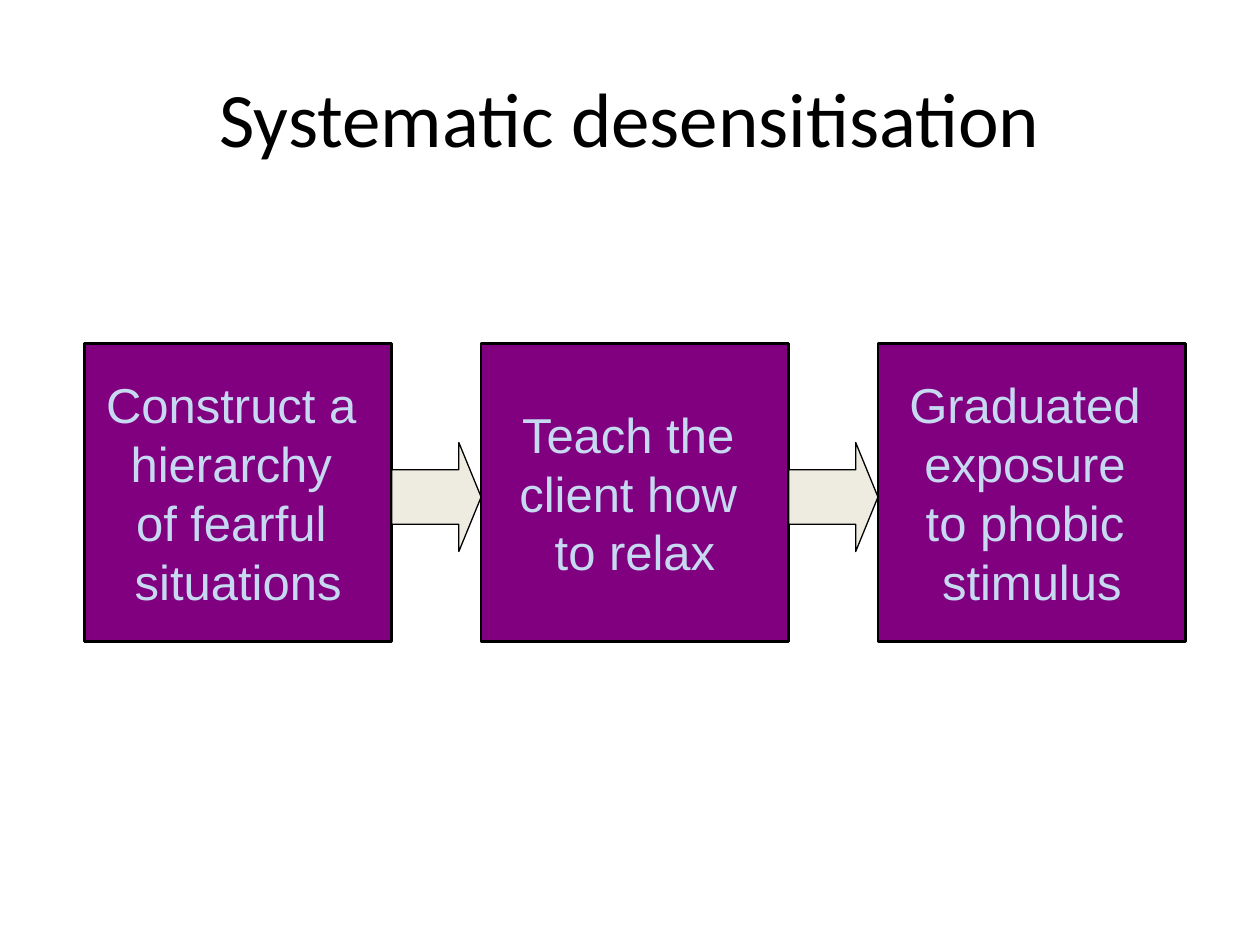
import dataclasses

import pptx
import pptx.dml.color
import pptx.enum.shapes
import pptx.enum.text
import pptx.util

Cm = pptx.util.Cm
Pt = pptx.util.Pt
SHAPES = pptx.enum.shapes.MSO_SHAPE
CENTER = pptx.enum.text.PP_ALIGN.CENTER
MIDDLE = pptx.enum.text.MSO_ANCHOR.MIDDLE

# Step boxes in a row, with an arrow filling each gap
ROW_LEFT, ROW_TOP = 1.7, 6.93
BOX_WIDTH, BOX_HEIGHT = 6.2, 6.0
ARROW_TOP, ARROW_WIDTH, ARROW_HEIGHT = 8.92, 1.8, 2.2


@dataclasses.dataclass
class Step:
    lines: list[str]


# The space closing a line is part of its centring
STEPS = [
    Step(["Construct a ", "hierarchy ", "of fearful ", "situations"]),
    Step(["Teach the ", "client how ", "to relax"]),
    Step(["Graduated ", "exposure ", "to phobic ", "stimulus"]),
]


def color(value: str) -> pptx.dml.color.RGBColor:
    return pptx.dml.color.RGBColor.from_string(value)


def format_paragraph(para, font_name: str, size: int, font_color: str) -> None:
    para.alignment = CENTER
    para.font.name = font_name
    para.font.size = Pt(size)
    para.font.color.rgb = color(font_color)


def add_block(page, kind, left: float, top: float, width: float,
              height: float, fill: str, line_width: float):
    block = page.shapes.add_shape(kind, Cm(left), Cm(top), Cm(width), Cm(height))
    block.shadow.inherit = False
    block.fill.solid()
    block.fill.fore_color.rgb = color(fill)
    block.line.color.rgb = color("000000")
    block.line.width = Pt(line_width)
    return block


def add_step(page, step: Step, left: float) -> None:
    box = add_block(page, SHAPES.RECTANGLE, left, ROW_TOP,
                    BOX_WIDTH, BOX_HEIGHT, "800080", 1.5)
    frame = box.text_frame
    frame.word_wrap = False
    frame.vertical_anchor = MIDDLE
    frame.text = "\n".join(step.lines)
    for para in frame.paragraphs:
        format_paragraph(para, "Arial", 28, "C6D9F1")


def add_arrow(page, left: float) -> None:
    arrow = add_block(page, SHAPES.RIGHT_ARROW, left, ARROW_TOP,
                      ARROW_WIDTH, ARROW_HEIGHT, "EEECE1", 0.75)
    arrow.adjustments[0] = 0.5
    arrow.adjustments[1] = 0.25


def main() -> None:
    deck = pptx.Presentation()
    deck.slide_width, deck.slide_height = Cm(25.4), Cm(19.05)
    page = deck.slides.add_slide(deck.slide_layouts[5])

    # Title
    title = page.shapes.title
    title.left, title.top = Cm(1.27), Cm(0.76)
    title.width, title.height = Cm(22.86), Cm(3.18)
    title.text_frame.text = "Systematic desensitisation"
    title.text_frame.vertical_anchor = MIDDLE
    format_paragraph(title.text_frame.paragraphs[0], "Calibri", 44, "000000")

    # Steps and the arrows between them
    for index, step in enumerate(STEPS):
        left = ROW_LEFT + index * (BOX_WIDTH + ARROW_WIDTH)
        add_step(page, step, left)
        if index < len(STEPS) - 1:
            add_arrow(page, left + BOX_WIDTH)

    deck.save("out.pptx")


if __name__ == "__main__":
    main()
